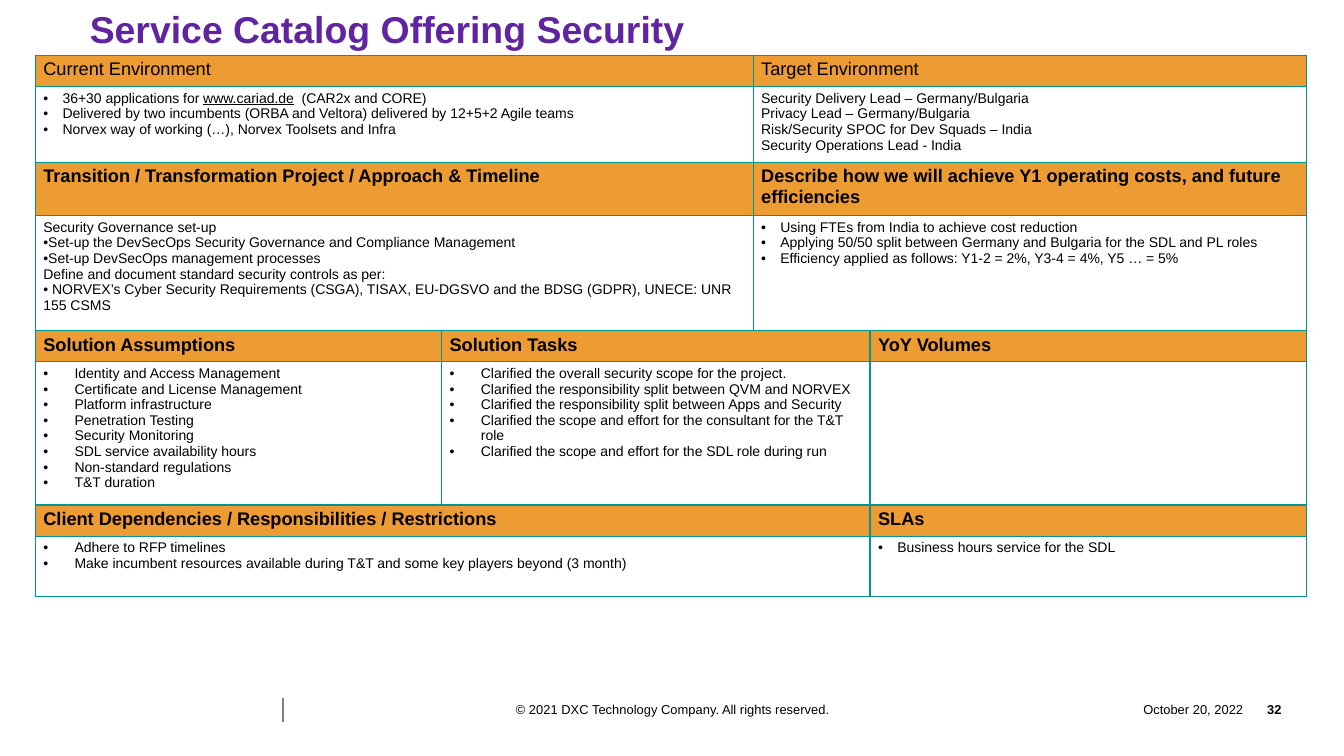
from lxml import etree
from pptx import Presentation
from pptx import util as u
from pptx.dml.color import RGBColor
from pptx.enum import shapes, text
from pptx.oxml import ns

LINK = "www.cariad.de"
COLUMN_WIDTHS = [4.03, 3.09, 1.16, 4.33]

SECTIONS = [
    (0.31, 0.75, False, [
        (2, "Current Environment", 0.19, [
            "36+30 applications for www.cariad.de\N{NO-BREAK SPACE} (CAR2x and CORE)",
            "Delivered by two incumbents (ORBA and Veltora) delivered by 12+5+2 Agile teams",
            "Norvex way of working (…), Norvex Toolsets and Infra"]),
        (2, "Target Environment", 0, [
            "Security Delivery Lead – Germany/Bulgaria",
            "Privacy Lead – Germany/Bulgaria",
            "Risk/Security SPOC for Dev Squads – India",
            "Security Operations Lead - India"])]),
    (0.53, 1.14, True, [
        (2, "Transition / Transformation Project / Approach & Timeline", 0, [
            "Security Governance set-up",
            "•Set-up the DevSecOps Security Governance and Compliance Management",
            "•Set-up DevSecOps management processes",
            "Define and document standard security controls as per:",
            "• NORVEX’s Cyber Security Requirements (CSGA), TISAX, EU-DGSVO and the BDSG (GDPR), "
            "UNECE: UNR 155 CSMS"]),
        (2, "Describe how we will achieve Y1 operating costs, and future efficiencies", 0.19, [
            "Using FTEs from India to achieve cost reduction",
            "Applying 50/50 split between Germany and Bulgaria for the SDL and PL roles",
            "Efficiency applied as follows: Y1-2 = 2%, Y3-4 = 4%, Y5 … = 5%"])]),
    (0.31, 1.42, True, [
        (1, "Solution Assumptions", 0.31, [
            "Identity and Access Management",
            "Certificate and License Management",
            "Platform infrastructure",
            "Penetration Testing",
            "Security Monitoring",
            "SDL service availability hours",
            "Non-standard regulations",
            "T&T duration"]),
        (2, "Solution Tasks", 0.31, [
            "Clarified the overall security scope for the project.",
            "Clarified the responsibility split between QVM and NORVEX",
            "Clarified the responsibility split between Apps and Security",
            "Clarified the scope and effort for the consultant for the T&T role",
            "Clarified the scope and effort for the SDL role during run"]),
        (1, "YoY Volumes", 0, [])]),
    (0.31, 0.6, True, [
        (3, "Client Dependencies / Responsibilities / Restrictions", 0.31, [
            "Adhere to RFP timelines",
            "Make incumbent resources available during T&T and some key players beyond (3 month)"]),
        (1, "SLAs", 0.19, ["Business hours service for the SDL"])]),
]


def color(value):
    return RGBColor.from_string(value)


class CatalogSlide:
    font = "Arial"
    ink = "000000"
    purple = "5F249F"
    orange = "ED9B33"
    teal = "00968F"
    gray = "808080"

    def __init__(self, presentation):
        self.slide = presentation.slides.add_slide(presentation.slide_layouts[6])

    def style(self, font, size, bold=False, ink=None):
        font.name = self.font
        font.size = u.Pt(size)
        font.bold = bold
        font.color.rgb = color(ink or self.ink)

    def textbox(self, box, content, size, align, bold=False, ink=None,
                anchor=text.MSO_ANCHOR.MIDDLE, spacing=1.0):
        frame = self.slide.shapes.add_textbox(*map(u.Inches, box)).text_frame
        frame.word_wrap = True
        frame.vertical_anchor = anchor
        frame.margin_left = frame.margin_right = frame.margin_top = frame.margin_bottom = 0
        frame.text = content
        paragraph = frame.paragraphs[0]
        paragraph.alignment = align
        paragraph.line_spacing = spacing
        self.style(paragraph.runs[0].font, size, bold, ink)

    def line(self, start, end, width):
        connector = self.slide.shapes.add_connector(
            shapes.MSO_CONNECTOR.STRAIGHT, *map(u.Inches, start + end))
        connector.line.color.rgb = color(self.gray)
        connector.line.width = u.Pt(width)
        etree.SubElement(connector._element.spPr, ns.qn("a:effectLst"))

    def bullet(self, paragraph, indent):
        properties = paragraph._p.get_or_add_pPr()
        properties.set("marL", str(u.Inches(indent)))
        properties.set("indent", str(-u.Inches(indent)))
        etree.SubElement(properties, ns.qn("a:buFont"), typeface=self.font)
        etree.SubElement(properties, ns.qn("a:buChar"), char="•")

    def borders(self, cell):
        properties = cell._tc.get_or_add_tcPr()
        for side in ("lnL", "lnR", "lnT", "lnB"):
            border = etree.SubElement(properties, ns.qn(f"a:{side}"), w=str(u.Pt(1)))
            fill = etree.SubElement(border, ns.qn("a:solidFill"))
            etree.SubElement(fill, ns.qn("a:srgbClr"), val=self.teal)

    def fill_cell(self, cell, lines, size, bold=False, indent=0):
        cell.margin_left = cell.margin_right = u.Inches(0.08)
        cell.margin_top = cell.margin_bottom = u.Inches(0.04)
        frame = cell.text_frame
        frame.text = "\n".join(lines)
        for paragraph, content in zip(frame.paragraphs, lines):
            if indent:
                self.bullet(paragraph, indent)
            before, link, after = content.partition(LINK)
            paragraph.text = before
            for part in filter(None, (link, after)):
                paragraph.add_run().text = part
            for run in paragraph.runs:
                self.style(run.font, size, bold)
                run.font.underline = run.text == LINK

    def table(self, left, top, widths, sections):
        heights = [height for section in sections for height in section[:2]]
        box = map(u.Inches, (left, top, sum(widths), sum(heights)))
        table = self.slide.shapes.add_table(len(heights), len(widths), *box).table
        table.first_row = table.horz_banding = False
        for column, width in zip(table.columns, widths):
            column.width = u.Inches(width)
        for index, height in enumerate(heights):
            table.rows[index].height = u.Inches(height)
            for cell in table.rows[index].cells:
                self.borders(cell)
                if index % 2:
                    cell.fill.background()
                else:
                    cell.fill.solid()
                    cell.fill.fore_color.rgb = color(self.orange)
        for index, (_, _, bold, blocks) in enumerate(sections):
            column = 0
            for span, heading, indent, lines in blocks:
                for row in (2 * index, 2 * index + 1):
                    if span > 1:
                        table.cell(row, column).merge(table.cell(row, column + span - 1))
                self.fill_cell(table.cell(2 * index, column), [heading], 13, bold)
                self.fill_cell(table.cell(2 * index + 1, column), lines, 10, indent=indent)
                column += span


def main():
    presentation = Presentation()
    presentation.slide_width = u.Inches(13.33)
    presentation.slide_height = u.Inches(7.5)
    align = text.PP_ALIGN
    catalog = CatalogSlide(presentation)
    catalog.textbox((10.84, 6.91, 1.49, 0.25), "October 20, 2022", 9.2, align.RIGHT)
    catalog.textbox((12.33, 6.91, 0.38, 0.25), "32", 9.2, align.RIGHT, bold=True)
    catalog.textbox((4.38, 6.91, 4.58, 0.25),
                    "© 2021 DXC Technology Company. All rights reserved.", 9.2, align.CENTER)
    catalog.line((2.81, 6.92), (2.81, 7.16), 1.5)
    catalog.textbox((0.89, 0.13, 12.08, 1.29), "Service Catalog Offering Security", 26.7,
                    align.LEFT, bold=True, ink=catalog.purple,
                    anchor=text.MSO_ANCHOR.TOP, spacing=0.85)
    catalog.table(0.35, 0.55, COLUMN_WIDTHS, SECTIONS)
    presentation.save("out.pptx")


if __name__ == "__main__":
    main()
